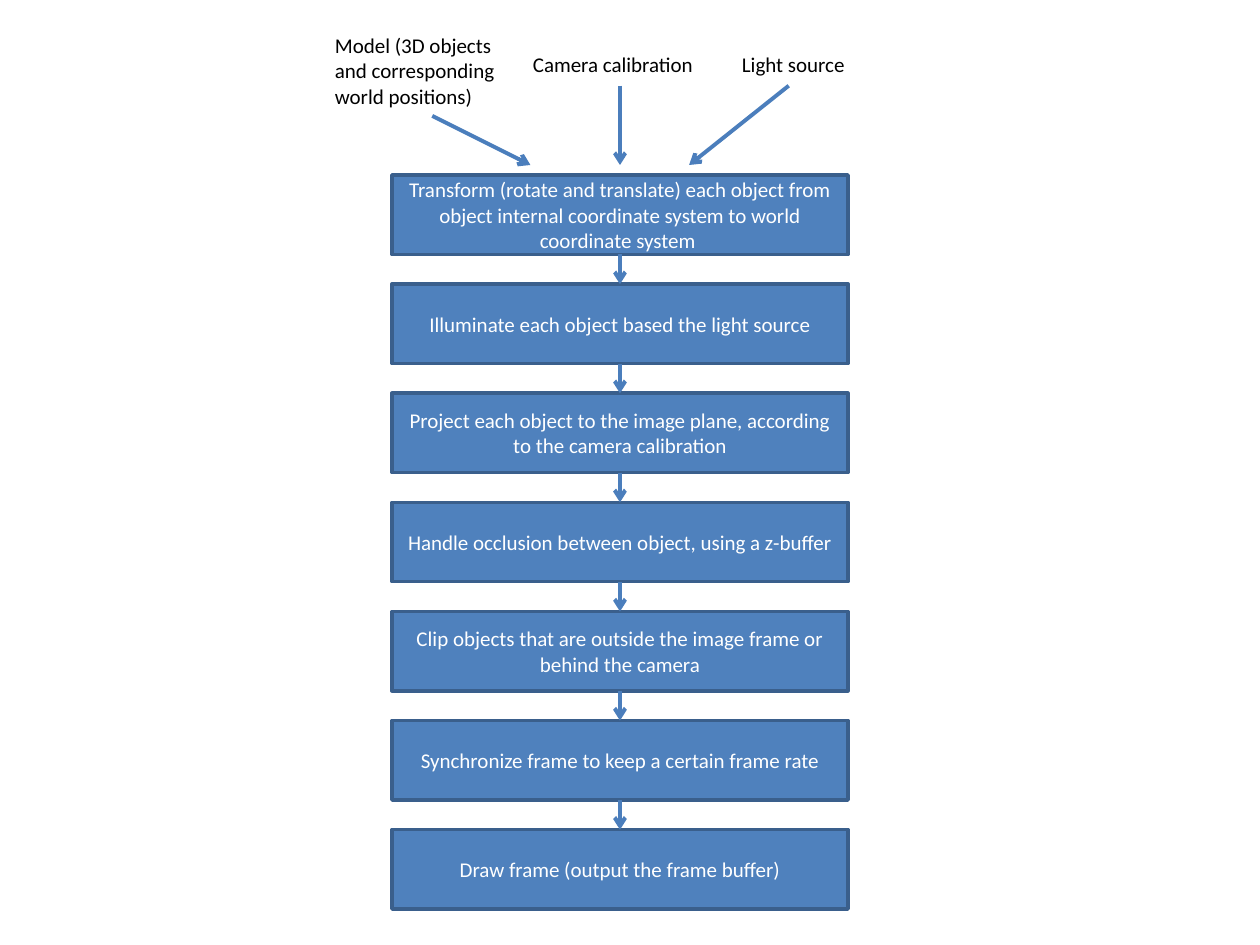
from pptx import Presentation
from pptx.dml.color import RGBColor
from pptx.enum.shapes import MSO_CONNECTOR, MSO_SHAPE
from pptx.enum.text import MSO_ANCHOR, MSO_AUTO_SIZE, PP_ALIGN
from pptx.util import Pt
from lxml import etree
from pptx.oxml.ns import qn

BLUE = RGBColor(0x4F, 0x81, 0xBD)
BORDER = RGBColor(0x3A, 0x5F, 0x8C)
ARROW = RGBColor(0x4B, 0x7E, 0xBC)
WHITE = RGBColor(0xFF, 0xFF, 0xFF)
BLACK = RGBColor(0, 0, 0)

LEFT, TOP, WIDTH, HEIGHT, STEP = 224, 100, 260.6, 45.4, 62.35
CENTER = LEFT + WIDTH / 2

STEPS = [
    "Transform (rotate and translate) each object from object internal "
    "coordinate system to world coordinate system ",
    "Illuminate each object based the light source",
    "Project each object to the image plane, according to the camera calibration",
    "Handle occlusion between object, using a z-buffer",
    "Clip objects that are outside the image frame or behind the camera",
    "Synchronize frame to keep a certain frame rate",
    "Draw frame (output the frame buffer)",
]
INPUTS = [
    ("Model (3D objects and corresponding world positions)", 184.3, 15.1, 108, 51.1, True),
    ("Camera calibration", 297.4, 26, 107.3, 21.8, False),
    ("Light source", 416.9, 26, 74.2, 21.8, False),
]
INPUT_ARROWS = [
    (247, 66.2, 303.1, 94.3),
    (CENTER, 49, CENTER, 94.3),
    (450.7, 49, 393.8, 94.3),
]


def add_text(tf, text, color):
    p = tf.paragraphs[0]
    r = p.add_run()
    r.text = text
    r.font.name = "Calibri"
    r.font.size = Pt(12)
    r.font.color.rgb = color
    return p


def add_arrow(x1, y1, x2, y2):
    c = s.shapes.add_connector(MSO_CONNECTOR.STRAIGHT, Pt(x1), Pt(y1), Pt(x2), Pt(y2))
    c.line.color.rgb = ARROW
    c.line.width = Pt(2.25)
    etree.SubElement(c.line._get_or_add_ln(), qn("a:tailEnd"), type="arrow")
    etree.SubElement(c._element.spPr, qn("a:effectLst"))


prs = Presentation()
prs.slide_width, prs.slide_height = Pt(720), Pt(540)
s = prs.slides.add_slide(prs.slide_layouts[6])

for text, x, y, w, h, wrap in INPUTS:
    sp = s.shapes.add_textbox(Pt(x), Pt(y), Pt(w), Pt(h))
    sp.fill.solid()
    sp.fill.fore_color.rgb = WHITE
    tf = sp.text_frame
    tf.word_wrap = wrap
    tf.auto_size = MSO_AUTO_SIZE.SHAPE_TO_FIT_TEXT
    add_text(tf, text, BLACK)

for ends in INPUT_ARROWS:
    add_arrow(*ends)

for i, text in enumerate(STEPS):
    y = TOP + i * STEP
    sp = s.shapes.add_shape(MSO_SHAPE.RECTANGLE, Pt(LEFT), Pt(y), Pt(WIDTH), Pt(HEIGHT))
    sp.shadow.inherit = False
    sp.fill.solid()
    sp.fill.fore_color.rgb = BLUE
    sp.line.color.rgb = BORDER
    sp.line.width = Pt(2)
    tf = sp.text_frame
    tf.word_wrap = True
    tf.vertical_anchor = MSO_ANCHOR.MIDDLE
    p = add_text(tf, text, WHITE)
    p.alignment = PP_ALIGN.CENTER
    if i > 0:
        add_arrow(CENTER, y - STEP + HEIGHT, CENTER, y)

prs.save("out.pptx")
